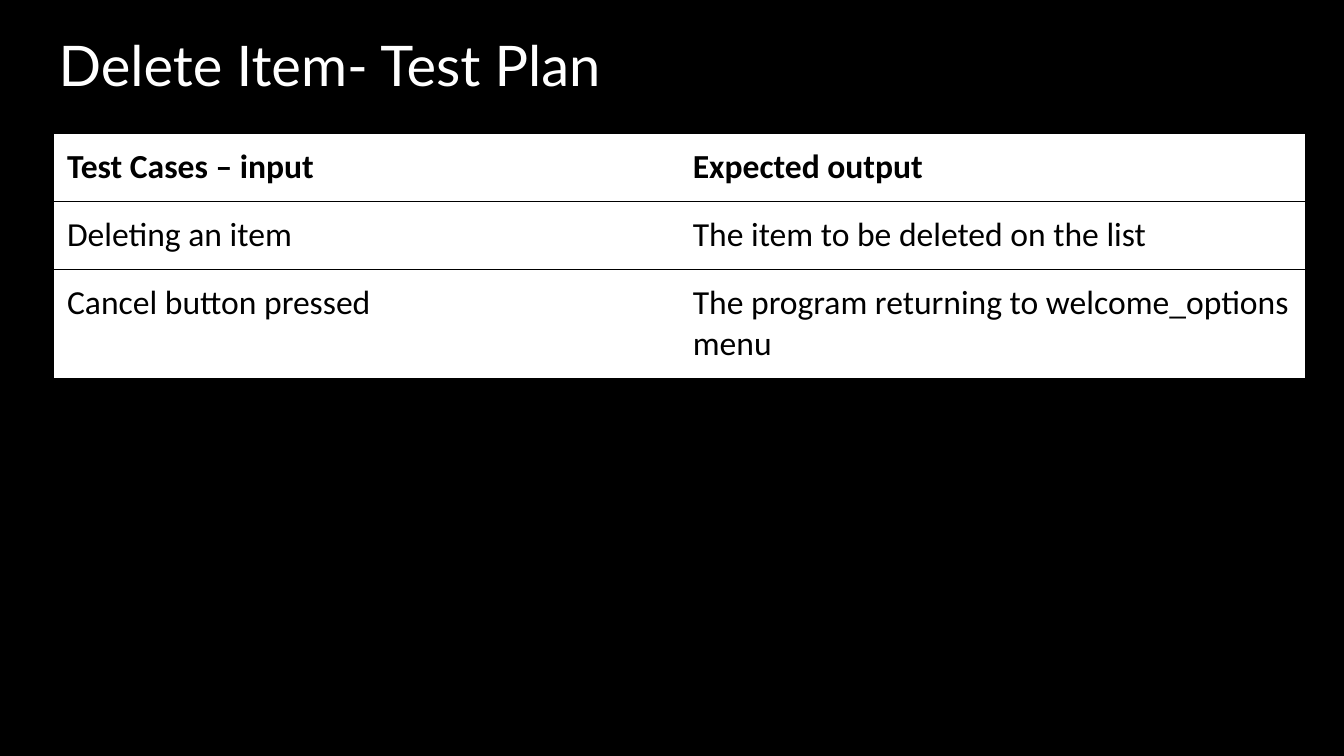
from lxml import etree
from pptx import Presentation
from pptx import util as u
from pptx.dml.color import RGBColor
from pptx.enum import text
from pptx.oxml import ns

# Content
TITLE = "Delete Item- Test Plan"
TEST_CASES = [
    ("Test Cases – input", "Expected output"),
    ("Deleting an item", "The item to be deleted on the list"),
    ("Cancel button pressed", "The program returning to welcome_options menu"),
]
BLACK, WHITE = "000000", "FFFFFF"
COLUMN_WIDTH = u.Cm(15.77)
ROW_HEIGHTS = [u.Cm(1.7), u.Cm(1.7), u.Cm(2.7)]
MARGIN = u.Cm(0.34)


def color(value):
    return RGBColor.from_string(value)


def write(frame, words, font, size, ink, bold=False, spacing=None):
    paragraph = frame.paragraphs[0]
    paragraph.alignment = text.PP_ALIGN.LEFT
    paragraph.line_spacing = spacing
    run = paragraph.add_run()
    run.text = words
    run.font.name = font
    run.font.size = u.Pt(size)
    run.font.bold = bold
    run.font.color.rgb = color(ink)


def set_margins(target):
    target.margin_left = target.margin_right = MARGIN
    target.margin_top = target.margin_bottom = MARGIN


def set_borders(cell, visible_sides):
    properties = cell._tc.get_or_add_tcPr()
    for position, side in enumerate("LRTB"):
        line = etree.Element(ns.qn(f"a:ln{side}"), w=str(u.Pt(1)))
        if side in visible_sides:
            fill = etree.SubElement(line, ns.qn("a:solidFill"))
            etree.SubElement(fill, ns.qn("a:srgbClr"), val=BLACK)
        else:
            etree.SubElement(line, ns.qn("a:noFill"))
        properties.insert(position, line)


# Slide with a black background
presentation = Presentation()
presentation.slide_width, presentation.slide_height = u.Cm(33.87), u.Cm(19.05)
slide = presentation.slides.add_slide(presentation.slide_layouts[5])
slide.background.fill.solid()
slide.background.fill.fore_color.rgb = color(BLACK)

# Title
title = slide.shapes.title
title.left, title.top = u.Cm(1.14), u.Cm(0.61)
title.width, title.height = u.Cm(31.55), u.Cm(2.13)
frame = title.text_frame
frame.word_wrap = True
frame.auto_size = text.MSO_AUTO_SIZE.NONE
frame.vertical_anchor = text.MSO_ANCHOR.TOP
set_margins(frame)
write(frame, TITLE, font="Lato", size=40, ink=WHITE, spacing=0.9)

# Test plan table
table = slide.shapes.add_table(
    len(TEST_CASES), 2, u.Cm(1.35), u.Cm(3.36), 2 * COLUMN_WIDTH, sum(ROW_HEIGHTS)
).table
table.horz_banding = False
for column in table.columns:
    column.width = COLUMN_WIDTH
for row_index, entries in enumerate(TEST_CASES):
    table.rows[row_index].height = ROW_HEIGHTS[row_index]
    for column_index, words in enumerate(entries):
        cell = table.cell(row_index, column_index)
        cell.fill.solid()
        cell.fill.fore_color.rgb = color(WHITE)
        cell.vertical_anchor = text.MSO_ANCHOR.TOP
        set_margins(cell)
        set_borders(cell, ("LTB", "RTB")[column_index])
        write(cell.text_frame, words, font="Calibri", size=24, ink=BLACK,
              bold=row_index == 0)

presentation.save("out.pptx")
